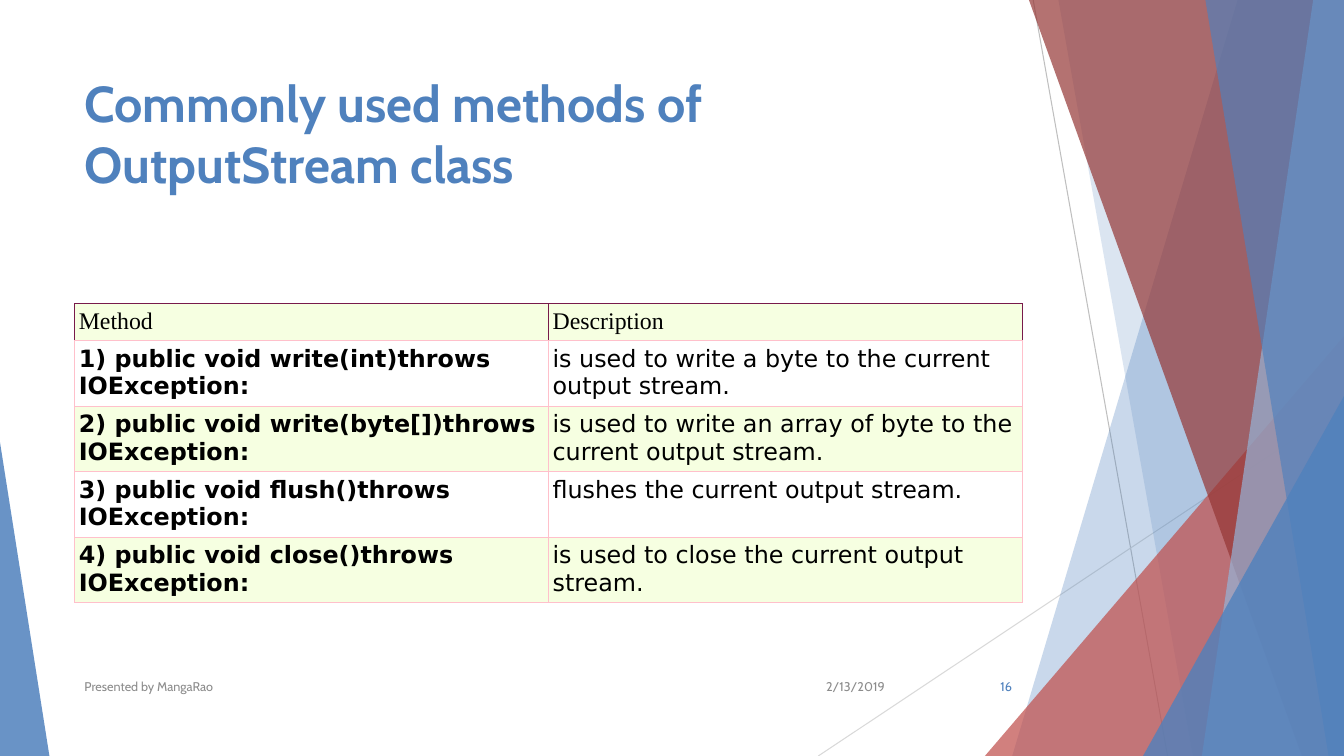
"""Build the slide on commonly used OutputStream methods."""
from lxml import etree
from pptx import Presentation
from pptx.dml.color import RGBColor
from pptx.enum.shapes import MSO_CONNECTOR, MSO_SHAPE
from pptx.enum.text import MSO_ANCHOR, PP_ALIGN
from pptx.oxml.ns import qn
from pptx.util import Pt

STRAIGHT = MSO_CONNECTOR.STRAIGHT
TRIANGLE = MSO_SHAPE.RIGHT_TRIANGLE, MSO_SHAPE.ISOSCELES_TRIANGLE
TOP, MIDDLE = MSO_ANCHOR.TOP, MSO_ANCHOR.MIDDLE
LEFT, RIGHT = PP_ALIGN.LEFT, PP_ALIGN.RIGHT

BLUE = RGBColor(0x4F, 0x81, 0xBD)
LIGHT_BLUE = RGBColor(0x95, 0xB3, 0xD7)
RED = RGBColor(0xC0, 0x50, 0x4D)
DARK_RED = RGBColor(0x95, 0x37, 0x35)
GREY = RGBColor(0x8C, 0x8C, 0x8C)
SILVER = RGBColor(0xBF, 0xBF, 0xBF)
PALE_GREY = RGBColor(0xD9, 0xD9, 0xD9)
LIME = RGBColor(0xF6, 0xFF, 0xE1)
WHITE = RGBColor(0xFF, 0xFF, 0xFF)
BLACK = RGBColor(0x00, 0x00, 0x00)
PINK = RGBColor(0xFF, 0xC0, 0xCB)
PLUM = RGBColor(0x78, 0x1A, 0x4B)

W, H = 960, 540


def paint(s, color, opacity):
    s.shadow.inherit = False
    s.line.fill.background()
    s.fill.solid()
    s.fill.fore_color.rgb = color
    clr = s.fill._xPr.find(qn("a:solidFill"))[0]
    etree.SubElement(clr, qn("a:alpha")).set("val", str(opacity * 1000))


def add_border(cell, side, color):
    ln = etree.SubElement(cell._tc.get_or_add_tcPr(), qn(f"a:ln{side}"), w=str(Pt(0.6)))
    fill = etree.SubElement(ln, qn("a:solidFill"))
    etree.SubElement(fill, qn("a:srgbClr"), val=str(color))


prs = Presentation()
prs.slide_width, prs.slide_height = Pt(W), Pt(H)
slide = prs.slides.add_slide(prs.slide_layouts[6])
shapes = slide.shapes

for x1, y1, x2, y2, color in [
    (738, 0, 834, H, SILVER),
    (W, 290, 584.5, H, PALE_GREY),
]:
    line = shapes.add_connector(STRAIGHT, Pt(x1), Pt(y1), Pt(x2), Pt(y2))
    line.line.color.rgb = color
    line.line.width = Pt(0.75)
    etree.SubElement(line._element.spPr, qn("a:effectLst"))

# Each facet runs to the right and bottom edges of the slide.
facets = [
    ("band", 884, 723, BLUE, 30),
    ("band", 756, 852, BLUE, 20),
    ("corner", 703.5, 240, RED, 72),
    ("band", 735, 930, DARK_RED, 70),
    ("band", 938, 858.5, LIGHT_BLUE, 70),
    ("band", 861, 949, BLUE, 65),
    ("corner", 816.5, 283, BLUE, 80),
]
for kind, a, b, color, opacity in facets:
    if kind == "band":
        builder = shapes.build_freeform(Pt(a), 0)
        builder.add_line_segments([(Pt(W), 0), (Pt(W), Pt(H)), (Pt(b), Pt(H))])
        s = builder.convert_to_shape()
    else:
        s = shapes.add_shape(TRIANGLE[1], Pt(a), Pt(b), Pt(W - a), Pt(H - b))
        s.adjustments[0] = 1
    paint(s, color, opacity)

s = shapes.add_shape(TRIANGLE[0], 0, Pt(316), Pt(35.3), Pt(H - 316))
paint(s, BLUE, 85)

texts = [
    ("Commonly used methods of OutputStream class", 53.3, 48, 677, 104, 36, BLUE, LEFT, TOP),
    ("2/13/2019", 567, 476, 72, 29, 9, GREY, RIGHT, MIDDLE),
    ("Presented by MangaRao", 53.3, 476, 496, 29, 9, GREY, LEFT, MIDDLE),
    ("16", 676, 476, 54, 29, 9, BLUE, RIGHT, MIDDLE),
]
for text, x, y, w, h, size, color, align, anchor in texts:
    tf = shapes.add_textbox(Pt(x), Pt(y), Pt(w), Pt(h)).text_frame
    tf.word_wrap = True
    tf.vertical_anchor = anchor
    tf.text = text
    p = tf.paragraphs[0]
    p.alignment = align
    font = p.runs[0].font
    font.name, font.size, font.bold = "Cabin", Pt(size), size == 36
    font.color.rgb = color

rows = [
    ("Method", "Description"),
    ("1) public void write(int)throws IOException:",
     "is used to write a byte to the current output stream."),
    ("2) public void write(byte[])throws IOException:",
     "is used to write an array of byte to the current output stream."),
    ("3) public void flush()throws IOException:",
     "flushes the current output stream."),
    ("4) public void close()throws IOException:",
     "is used to close the current output stream."),
]
table = shapes.add_table(len(rows), 2, Pt(53.3), Pt(217), Pt(677), Pt(210)).table
for col in table.columns:
    col.width = Pt(338.5)
for i, row in enumerate(rows):
    table.rows[i].height = Pt(46 if i else 26)
    for j, text in enumerate(row):
        cell = table.cell(i, j)
        cell.margin_left = cell.margin_right = Pt(3)
        cell.margin_top = cell.margin_bottom = Pt(3)
        for side in "LRTB":
            add_border(cell, side, PLUM if i == 0 and side != "B" else PINK)
        cell.fill.solid()
        cell.fill.fore_color.rgb = WHITE if i % 2 else LIME
        cell.text_frame.text = text
        font = cell.text_frame.paragraphs[0].runs[0].font
        font.name = "DejaVu Sans" if i else "Times New Roman"
        font.size = Pt(17)
        font.bold = i > 0 and j == 0
        font.color.rgb = BLACK

prs.save("out.pptx")
